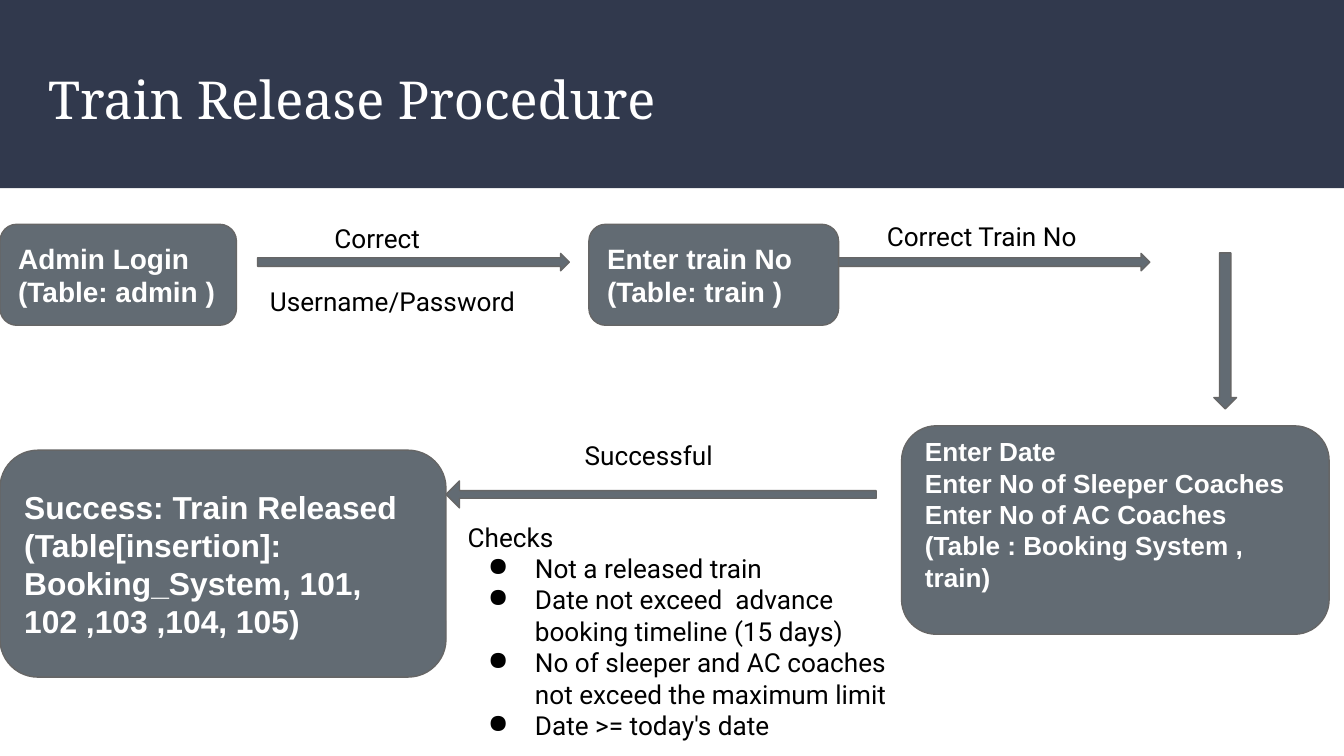
from dataclasses import dataclass

from lxml.etree import SubElement
from pptx import Presentation
from pptx.dml.color import RGBColor
from pptx.enum.shapes import MSO_SHAPE as Kind
from pptx.enum.text import MSO_ANCHOR as Anchor, PP_ALIGN as Align
from pptx.oxml.ns import qn
from pptx.shapes.autoshape import Shape
from pptx.slide import Slide
from pptx.text.text import TextFrame, _Paragraph as Para
from pptx.util import Cm, Pt

NAVY = RGBColor(0x31, 0x39, 0x4D)
SLATE = RGBColor(0x62, 0x6B, 0x73)
EDGE = RGBColor(0x66, 0x66, 0x66)
WHITE = RGBColor(0xFF, 0xFF, 0xFF)
BLACK = RGBColor(0x00, 0x00, 0x00)

PAD = 0.25
ROW = 4.24  # top of the first row of steps
TALL = 1.91


@dataclass
class Area:
    """Left, top, width and height in centimetres."""
    x: float
    y: float
    w: float
    h: float

    def cm(self) -> tuple[Cm, Cm, Cm, Cm]:
        return Cm(self.x), Cm(self.y), Cm(self.w), Cm(self.h)


@dataclass
class Step:
    area: Area
    text: str
    size: int
    foot: float = PAD  # bottom inset


@dataclass
class Arrow:
    area: Area  # before turning
    turn: int
    shaft: float = 0.5


@dataclass
class Label:
    area: Area
    text: str
    dent: float = 0  # indent of the first line
    gap: float = 0  # points before later lines
    dots: bool = False  # bullets on later lines
    font: str = "Roboto"
    size: int = 14
    color: RGBColor = BLACK


STEPS = [
    Step(Area(0, ROW, 4.47, TALL), "Admin Login\n(Table: admin )", 15),
    Step(Area(11.13, ROW, 4.72, TALL), "Enter train No\n(Table: train )", 15),
    Step(Area(17.04, 8.05, 8.08, 3.94),
         "Enter Date\nEnter No of Sleeper Coaches\nEnter No of AC Coaches\n"
         "(Table : Booking System , train)", 14, foot=0.85),
    Step(Area(0, 8.51, 8.43, 4.29),
         "Success: Train Released\n"
         "(Table[insertion]: Booking_System, 101, 102 ,103 ,104, 105)", 17),
]

ARROWS = [
    Arrow(Area(7.65, 2.01, 0.33, 5.89), 90),
    Arrow(Area(18.62, 2.01, 0.33, 5.89), 90),
    Arrow(Area(22.94, 4.78, 0.43, 2.95), 180),
    Arrow(Area(12.24, 5.28, 0.51, 8.13), 270, shaft=0.28),
]

LABELS = [
    Label(Area(0.66, 1.02, 23.67, 1.73), "Train Release Procedure",
          font="Noto Serif", size=28, color=WHITE),
    Label(Area(4.85, 3.96, 5.21, TALL), "Correct\nUsername/Password",
          dent=1.22, gap=16.8),
    Label(Area(16.51, 3.91, 5.54, 0.79), "Correct Train No"),
    Label(Area(9.58, 8.05, 5.21, TALL), "Successful", dent=1.22),
    Label(Area(8.59, 9.6, 8.84, 4.67),
          "Checks\nNot a released train\n"
          "Date not exceed  advance booking timeline (15 days)\n"
          "No of sleeper and AC coaches not exceed the maximum limit\n"
          "Date >= today's date", dots=True),
]


def write(frame: TextFrame, text: str, font: str, size: int,
          color: RGBColor, bold: bool = False, foot: float = PAD) -> None:
    frame.word_wrap = True
    frame.margin_left = frame.margin_right = frame.margin_top = Cm(PAD)
    frame.margin_bottom = Cm(foot)
    frame.text = text
    for para in frame.paragraphs:
        para.alignment = Align.LEFT
        for run in para.runs:
            run.font.name = font
            run.font.size = Pt(size)
            run.font.bold = bold
            run.font.color.rgb = color


def indent(para: Para, left: float, first: float = 0) -> None:
    props = para._p.get_or_add_pPr()
    props.set("marL", str(Cm(left)))
    props.set("indent", str(Cm(first)))


def bullet(para: Para) -> None:
    indent(para, 1.27, -0.89)
    SubElement(para._p.pPr, qn("a:buChar")).set("char", "●")


def add_block(slide: Slide, kind: Kind, area: Area) -> Shape:
    shape = slide.shapes.add_shape(kind, *area.cm())
    shape.shadow.inherit = False
    shape.fill.solid()
    shape.fill.fore_color.rgb = SLATE
    shape.line.color.rgb = EDGE
    shape.line.width = Pt(0.75)
    return shape


def add_step(slide: Slide, step: Step) -> None:
    shape = add_block(slide, Kind.ROUNDED_RECTANGLE, step.area)
    frame = shape.text_frame
    frame.vertical_anchor = Anchor.MIDDLE
    write(frame, step.text, "Arial", step.size, WHITE, True, step.foot)


def add_arrow(slide: Slide, arrow: Arrow) -> None:
    shape = add_block(slide, Kind.UP_ARROW, arrow.area)
    shape.adjustments[0] = arrow.shaft
    shape.rotation = arrow.turn


def add_label(slide: Slide, label: Label) -> None:
    frame = slide.shapes.add_textbox(*label.area.cm()).text_frame
    write(frame, label.text, label.font, label.size, label.color)
    first, *rest = frame.paragraphs
    if label.dent:
        indent(first, label.dent)
    for para in rest:
        if label.gap:
            para.space_before = Pt(label.gap)
        if label.dots:
            bullet(para)


def main() -> None:
    deck = Presentation()
    deck.slide_width, deck.slide_height = Cm(25.4), Cm(14.29)
    slide = deck.slides.add_slide(deck.slide_layouts[6])

    # Title band
    band = add_block(slide, Kind.RECTANGLE, Area(0, 0, 25.4, 3.56))
    band.fill.fore_color.rgb = NAVY
    band.line.fill.background()

    # Flow of steps
    for arrow in ARROWS:
        add_arrow(slide, arrow)
    for step in STEPS:
        add_step(slide, step)

    # Title, arrow labels and checks
    for label in LABELS:
        add_label(slide, label)

    deck.save("out.pptx")


if __name__ == "__main__":
    main()
